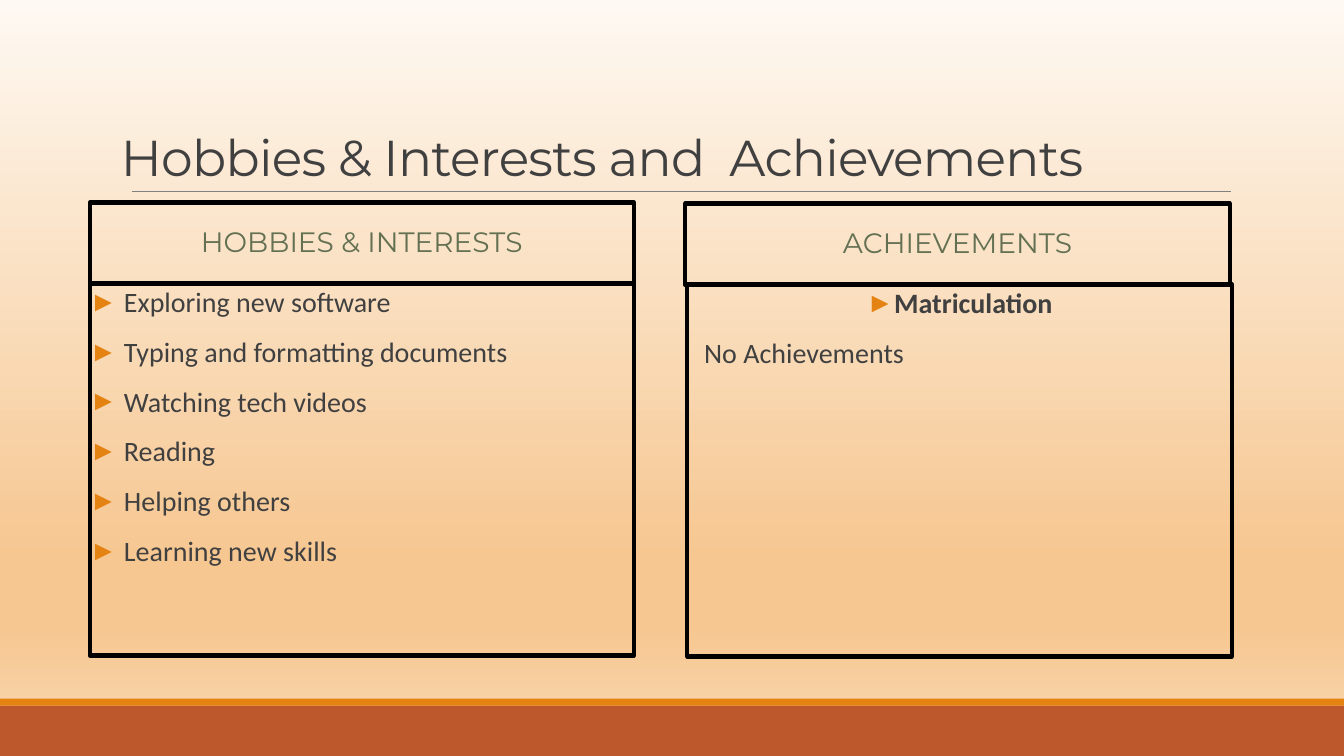
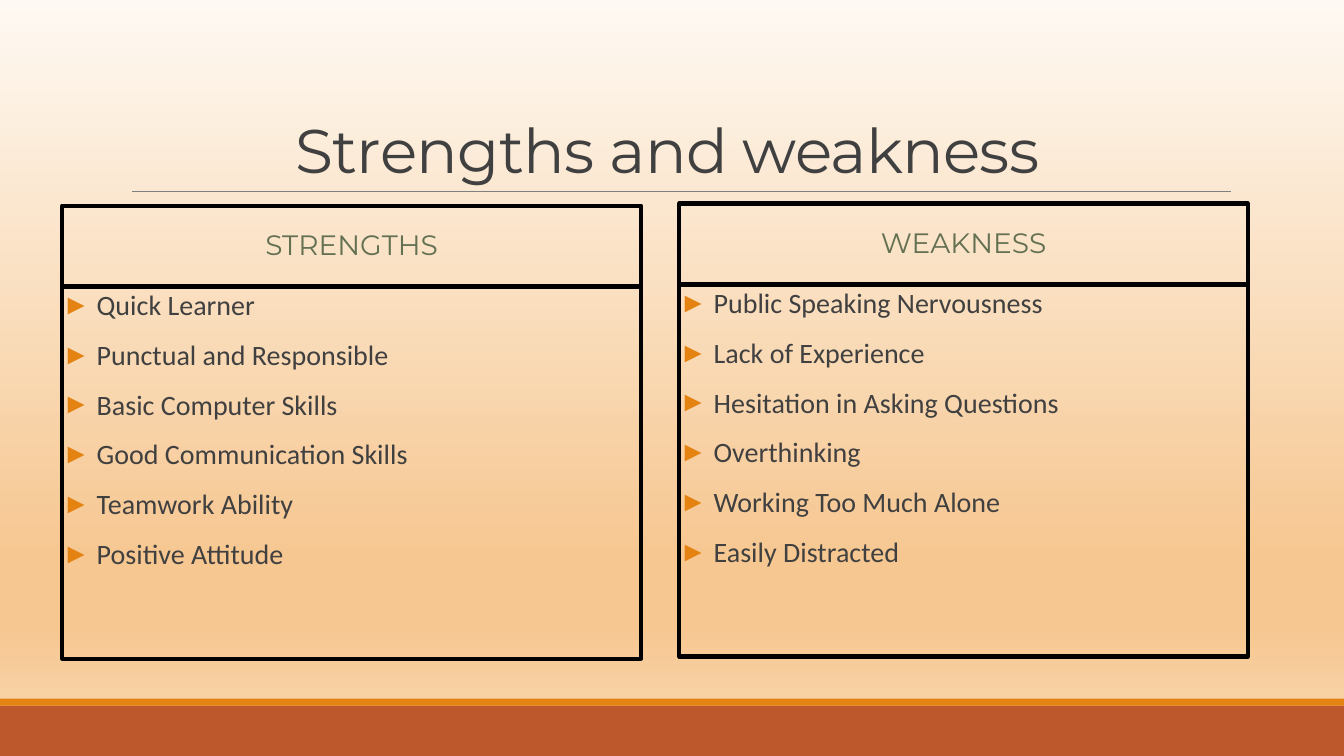
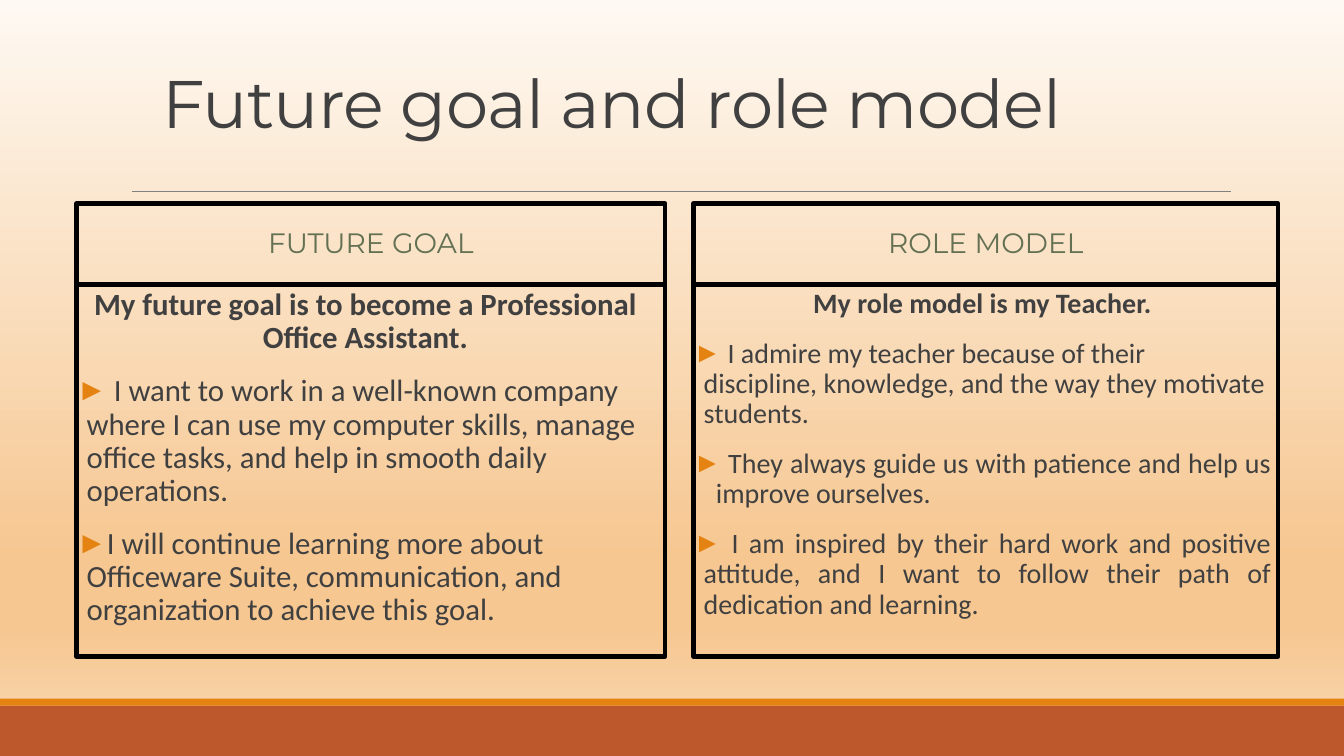
from dataclasses import dataclass

from lxml import etree
from pptx import Presentation
from pptx.dml import color
from pptx.enum import shapes, text
from pptx.oxml import ns
from pptx.slide import Slide
from pptx.util import Pt

WIDTH, HEIGHT = 960, 540
HEADING_HEIGHT, LIST_OFFSET, LIST_HEIGHT = 58.3, 57.6, 266
INK, BLACK, GREEN = "404040", "000000", "637052"
ORANGE, RUST, GREY = "E48312", "BD582C", "808080"
HEAD_FONT, BODY_FONT = "Montserrat", "Calibri"
GRADIENT = ((0, "FEF9F3"), (74, "F6C791"), (83, "F6C791"), (100, "F9DAB6"))
LEFT = text.PP_ALIGN.LEFT
CENTER = text.PP_ALIGN.CENTER
JUSTIFY = text.PP_ALIGN.JUSTIFY


@dataclass(frozen=True)
class Box:
    left: float
    top: float
    width: float
    height: float

    def lengths(self) -> tuple:
        return Pt(self.left), Pt(self.top), Pt(self.width), Pt(self.height)


@dataclass(frozen=True)
class Item:
    wording: str
    hanging: float = 24.5
    bullet: bool = True
    bold: bool = False
    align: text.PP_ALIGN = LEFT
    size: float = 20


@dataclass(frozen=True)
class Column:
    left: float
    top: float
    width: float
    heading: str
    items: tuple
    list_shift: float = 0
    right_inset: float = 0


@dataclass(frozen=True)
class Page:
    title: str
    title_box: Box
    title_size: float
    title_align: text.PP_ALIGN
    columns: tuple


def rgb(value: str) -> color.RGBColor:
    return color.RGBColor.from_string(value)


def set_font(paragraph, name: str, size: float, tint: str, bold: bool = False) -> None:
    font = paragraph.font
    font.name, font.size, font.bold = name, Pt(size), bold
    font.color.rgb = rgb(tint)


def set_bullet(paragraph, hanging: float, visible: bool) -> None:
    properties = paragraph._p.get_or_add_pPr()
    properties.set("marL", str(Pt(hanging)))
    properties.set("indent", str(-Pt(hanging) if visible else 0))
    if visible:
        tint = etree.SubElement(properties, ns.qn("a:buClr"))
        etree.SubElement(tint, ns.qn("a:srgbClr"), val=ORANGE)
        etree.SubElement(properties, ns.qn("a:buFont"), typeface="Arial")
        etree.SubElement(properties, ns.qn("a:buChar"), char="►")
    else:
        etree.SubElement(properties, ns.qn("a:buNone"))


def set_background(master) -> None:
    fill = master.background.fill
    fill.gradient()
    fill.gradient_angle = 270
    stops = next(master.element.iter(ns.qn("a:gsLst")))
    for stop in list(stops):
        stops.remove(stop)
    for position, tint in GRADIENT:
        stop = etree.SubElement(stops, ns.qn("a:gs"), pos=str(position * 1000))
        etree.SubElement(stop, ns.qn("a:srgbClr"), val=tint)


def add_rectangle(slide: Slide, box: Box):
    shape = slide.shapes.add_shape(shapes.MSO_SHAPE.RECTANGLE, *box.lengths())
    shape.shadow.inherit = False
    return shape


def add_band(slide: Slide, top: float, height: float, tint: str) -> None:
    shape = add_rectangle(slide, Box(0, top, WIDTH, height))
    shape.fill.solid()
    shape.fill.fore_color.rgb = rgb(tint)
    shape.line.fill.background()


def add_frame(slide: Slide, box: Box, anchor: text.MSO_ANCHOR):
    shape = add_rectangle(slide, box)
    shape.fill.background()
    shape.line.color.rgb = rgb(BLACK)
    shape.line.width = Pt(3)
    shape.text_frame.word_wrap = True
    shape.text_frame.vertical_anchor = anchor
    return shape.text_frame


def add_rule(slide: Slide) -> None:
    rule = slide.shapes.add_connector(
        shapes.MSO_CONNECTOR.STRAIGHT, Pt(94.3), Pt(136.8), Pt(879.1), Pt(136.8))
    rule.line.color.rgb = rgb(GREY)
    rule.line.width = Pt(0.5)
    etree.SubElement(rule._element.spPr, ns.qn("a:effectLst"))


def set_spacing(paragraph) -> None:
    paragraph.line_spacing = 0.9
    paragraph.space_before = Pt(12)
    paragraph.space_after = Pt(2)


def add_column(slide: Slide, column: Column) -> None:
    heading_box = Box(column.left, column.top, column.width, HEADING_HEIGHT)
    heading = add_frame(slide, heading_box, text.MSO_ANCHOR.MIDDLE).paragraphs[0]
    heading.text = column.heading
    heading.alignment = CENTER
    set_spacing(heading)
    set_font(heading, HEAD_FONT, 20, GREEN)

    list_box = Box(column.left + column.list_shift, column.top + LIST_OFFSET,
                   column.width, LIST_HEIGHT)
    frame = add_frame(slide, list_box, text.MSO_ANCHOR.TOP)
    frame.margin_left, frame.margin_right = 0, Pt(column.right_inset)
    for index, item in enumerate(column.items):
        paragraph = frame.add_paragraph() if index else frame.paragraphs[0]
        paragraph.text = item.wording
        paragraph.alignment = item.align
        set_bullet(paragraph, item.hanging, item.bullet)
        set_spacing(paragraph)
        set_font(paragraph, BODY_FONT, item.size, INK, item.bold)


def set_title(slide: Slide, page: Page) -> None:
    title = slide.shapes.title
    title.left, title.top, title.width, title.height = page.title_box.lengths()
    frame = title.text_frame
    frame.text = page.title
    frame.word_wrap = True
    frame.auto_size = text.MSO_AUTO_SIZE.NONE
    frame.vertical_anchor = text.MSO_ANCHOR.BOTTOM
    paragraph = frame.paragraphs[0]
    paragraph.alignment = page.title_align
    paragraph.line_spacing = 0.85
    set_font(paragraph, HEAD_FONT, page.title_size, INK)
    paragraph._p.pPr.find(ns.qn("a:defRPr")).set("spc", "-50")


def add_page(presentation, page: Page) -> None:
    slide = presentation.slides.add_slide(presentation.slide_layouts[5])
    add_band(slide, 504, 36, RUST)
    add_band(slide, 499, 5, ORANGE)
    add_rule(slide)
    set_title(slide, page)
    for column in page.columns:
        add_column(slide, column)


def bullets(*wordings: str) -> tuple:
    return tuple(Item(wording) for wording in wordings)


def lead(wording: str, size: float = 20) -> Item:
    return Item(wording, 0, False, True, CENTER, size)


PAGES = (
    Page("Hobbies & Interests and  Achievements", Box(79.2, 22.3, 820, 114.5), 36, LEFT, (
        Column(64.1, 144.7, 388.8, "HOBBIES & INTERESTS", bullets(
            "Exploring new software", "Typing and formatting documents",
            "Watching tech videos", "Reading", "Helping others", "Learning new skills")),
        Column(489.6, 145.4, 388.8, "ACHIEVEMENTS", (
            Item("Matriculation", 7.2, bold=True, align=CENTER),
            Item("No Achievements", 12, bullet=False)), list_shift=1.4))),
    Page("Strengths and weakness", Box(80.7, 22.3, 792, 114.5), 44, CENTER, (
        Column(44.6, 146.9, 413.3, "STRENGTHS", bullets(
            "Quick Learner", "Punctual and Responsible", "Basic Computer Skills",
            "Good Communication Skills", "Teamwork Ability", "Positive Attitude")),
        Column(485.3, 145.4, 406.1, "WEAKNESS", bullets(
            "Public Speaking Nervousness", "Lack of Experience",
            "Hesitation in Asking Questions", "Overthinking",
            "Working Too Much Alone", "Easily Distracted")))),
    Page("Future goal and role model", Box(108.7, 21.6, 712.8, 83.5), 48, LEFT, (
        Column(54.7, 145.4, 420.5, "FUTURE GOAL", (
            lead("My future goal is to become a Professional Office Assistant.", 22),
            Item(" I want to work in a well-known company where I can use my computer "
                 "skills, manage office tasks, and help in smooth daily operations.",
                 7.2, size=22),
            Item("I will continue learning more about Officeware Suite, communication, "
                 "and organization to achieve this goal.", 7.2, size=22)), right_inset=8),
        Column(495.4, 145.4, 417.6, "ROLE MODEL", (
            lead("My role model is my Teacher."),
            Item(" I admire my teacher because of their\vdiscipline, knowledge, and the "
                 "way they motivate students.", 7.2),
            Item(" They always guide us with patience and help us improve ourselves.",
                 16, align=JUSTIFY),
            Item(" I am inspired by their hard work and positive attitude, and I want to "
                 "follow their path of dedication and learning.", 7.2, align=JUSTIFY)),
               right_inset=5))),
)


def main() -> None:
    presentation = Presentation()
    presentation.slide_width, presentation.slide_height = Pt(WIDTH), Pt(HEIGHT)
    set_background(presentation.slide_master)
    for page in PAGES:
        add_page(presentation, page)
    presentation.save("out.pptx")


if __name__ == "__main__":
    main()
